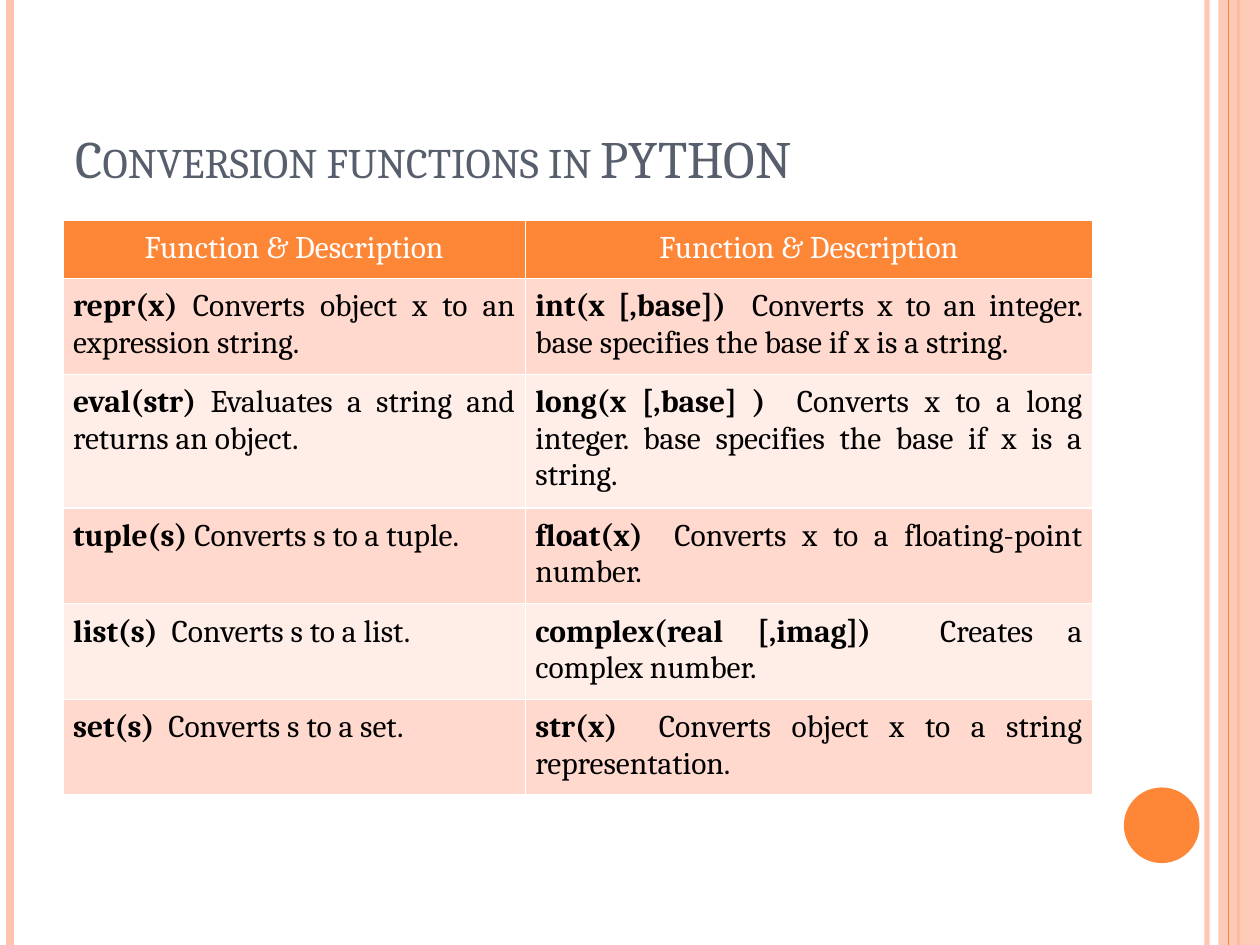
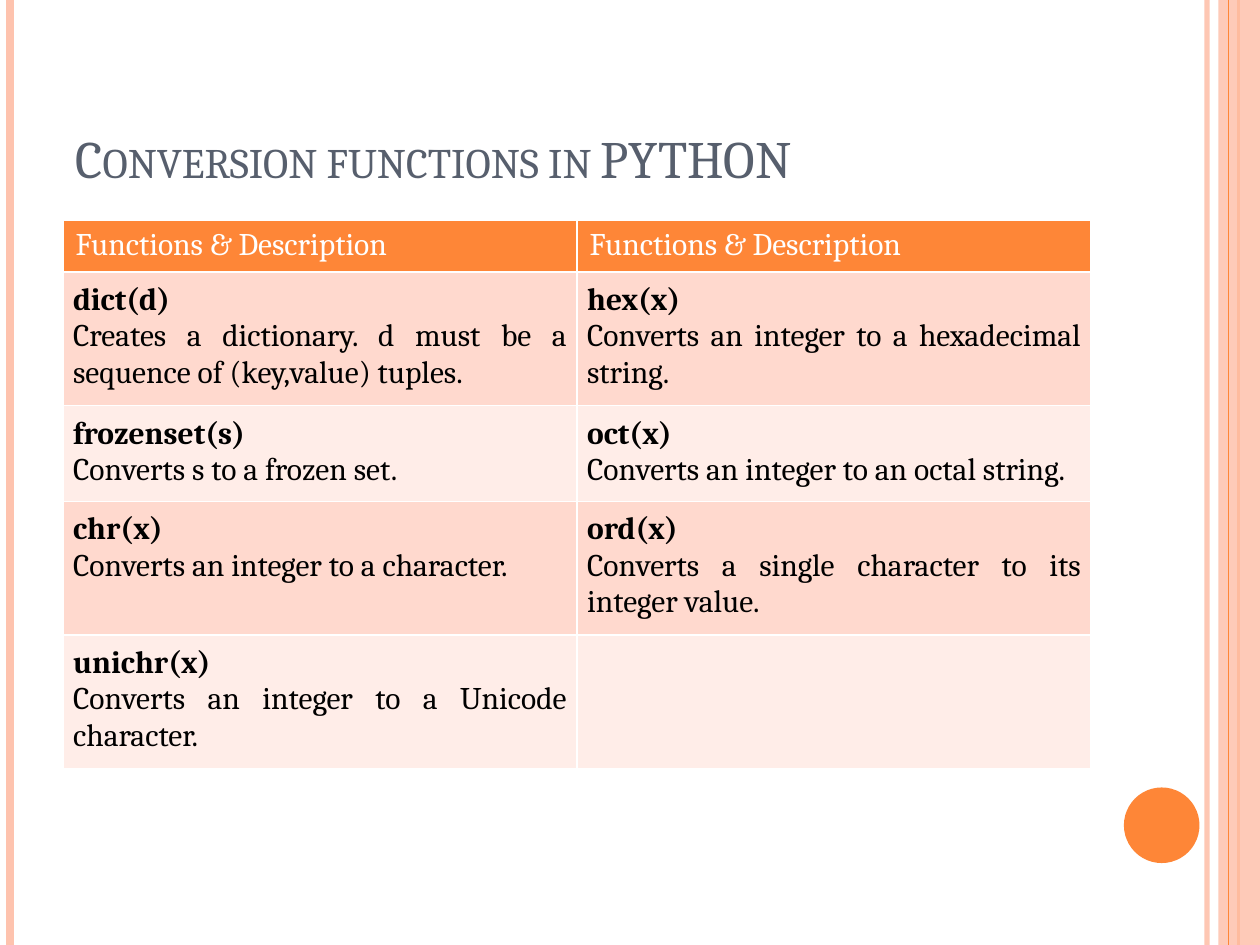
from lxml.etree import SubElement
from pptx import Presentation
from pptx.dml.color import RGBColor
from pptx.enum.shapes import MSO_CONNECTOR, MSO_SHAPE
from pptx.enum.text import MSO_ANCHOR, PP_ALIGN
from pptx.oxml.ns import qn
from pptx.util import Inches, Pt

ORANGE = RGBColor(0xFE, 0x86, 0x37)
PEACH = RGBColor(0xFE, 0xC3, 0xAE)
SLATE = RGBColor(0x57, 0x5F, 0x6D)
WHITE = RGBColor(0xFF, 0xFF, 0xFF)
BLACK = RGBColor(0, 0, 0)
BANDS = (RGBColor(0xFF, 0xD9, 0xCE), RGBColor(0xFF, 0xED, 0xE8))
FONT = "Cambria"
WIDE, HIGH = 10, 7.5
TITLE = "Conversion functions in PYTHON"
TITLE_BOX = (0.5, 0.3, 8.17, 1.25)
TABLE_SPOT = (0.5, 1.75)
ROW = 0.41
PAD = 0.08

# Each cell holds a call and what it does.
BASIC = [
    [("repr(x) ", "Converts object x to an expression string."),
     ("int(x [,base])  ", "Converts x to an integer. base specifies the base if x is a string.")],
    [("eval(str) ", "Evaluates a string and returns an object."),
     ("long(x [,base] )  ", "Converts x to a long integer. base specifies the base if x is a string.")],
    [("tuple(s) ", "Converts s to a tuple."),
     ("float(x)  ", "Converts x to a floating-point number.")],
    [("list(s)  ", "Converts s to a list."),
     ("complex(real [,imag])  ", "Creates a complex number.")],
    [("set(s)  ", "Converts s to a set."),
     ("str(x)  ", "Converts object x to a string representation.")],
]
MORE = [
    [("dict(d)", "Creates a dictionary. d must be a sequence of (key,value) tuples."),
     ("hex(x)", "Converts an integer to a hexadecimal string.")],
    [("frozenset(s)", "Converts s to a frozen set."),
     ("oct(x)", "Converts an integer to an octal string.")],
    [("chr(x)", "Converts an integer to a character."),
     ("ord(x)", "Converts a single character to its integer value.")],
    [("unichr(x)", "Converts an integer to a Unicode character."), None],
]


def style(font, size, color, bold=False):
    font.name, font.size, font.bold = FONT, Pt(size), bold
    font.color.rgb = color


def fade(shape, percent):
    """Set the opacity of the first solid colour in a shape."""
    color = next(shape._element.spPr.iter(qn("a:srgbClr")))
    SubElement(color, qn("a:alpha")).set("val", str(percent * 1000))


def add_rule(slide, x, color, width):
    """Draw a line down the full height of the slide."""
    rule = slide.shapes.add_connector(
        MSO_CONNECTOR.STRAIGHT, Inches(x), 0, Inches(x), Inches(HIGH))
    rule.line.color.rgb = color
    rule.line.width = Pt(width)
    SubElement(rule._element.spPr, qn("a:effectLst"))
    return rule


def add_solid(slide, kind, box, color):
    shape = slide.shapes.add_shape(kind, *map(Inches, box))
    shape.shadow.inherit = False
    shape.fill.solid()
    shape.fill.fore_color.rgb = color
    shape.line.fill.background()
    return shape


def add_frame(slide):
    """Draw the side rules, right band and disc that every slide shares."""
    fade(add_rule(slide, 9.58, PEACH, 3), 93)
    add_rule(slide, 0.08, PEACH, 4.5)
    add_rule(slide, 9.83, ORANGE, 1.5)
    band = add_solid(slide, MSO_SHAPE.RECTANGLE, (9.67, 0, 0.33, HIGH), PEACH)
    fade(band, 87)
    add_rule(slide, 9.75, ORANGE, 0.75)
    add_solid(slide, MSO_SHAPE.OVAL, (8.92, 6.25, 0.6, 0.6), ORANGE)


def add_title(slide, box):
    frame = slide.shapes.add_textbox(*map(Inches, box)).text_frame
    frame.word_wrap = True
    frame.vertical_anchor = MSO_ANCHOR.BOTTOM
    frame.text = TITLE
    run = frame.paragraphs[0].runs[0]
    style(run.font, 30, SLATE)
    run.font._element.set("cap", "small")


def paint(cell, color):
    """Give a cell white borders and a fill."""
    props = cell._tc.get_or_add_tcPr()
    for side in "LRTB":
        line = SubElement(props, qn(f"a:ln{side}"), w=str(Pt(1)))
        fill = SubElement(line, qn("a:solidFill"))
        SubElement(fill, qn("a:srgbClr"), val=str(WHITE))
    cell.fill.solid()
    cell.fill.fore_color.rgb = color


def pad(cell):
    cell.margin_left = cell.margin_right = Inches(PAD)
    cell.margin_top = cell.margin_bottom = Inches(PAD)


def fill_cell(cell, entry, stacked):
    """Write a bold call and its description, on one line or stacked."""
    frame = cell.text_frame
    if entry is None:
        style(frame.paragraphs[0].font, 18, BLACK)
        return
    pad(cell)
    call, about = entry
    frame.text = call
    first = frame.paragraphs[0]
    last = frame.add_paragraph() if stacked else first
    last.add_run().text = about
    for para in frame.paragraphs:
        para.alignment = PP_ALIGN.JUSTIFY
        for run in para.runs:
            style(run.font, 18, BLACK, run.text == call)


def add_grid(slide, spot, cols, head, rows, stacked):
    count = len(rows) + 1
    size = (sum(cols), ROW * count)
    grid = slide.shapes.add_table(count, len(cols), *map(Inches, spot + size)).table
    for col, width in zip(grid.columns, cols):
        col.width = Inches(width)
    for row in grid.rows:
        row.height = Inches(ROW)
    for c in range(len(cols)):
        cell = grid.cell(0, c)
        paint(cell, ORANGE)
        cell.text_frame.text = head
        para = cell.text_frame.paragraphs[0]
        style(para.runs[0].font, 18, WHITE)
        if not stacked:
            pad(cell)
            para.alignment = PP_ALIGN.CENTER
    for r, row in enumerate(rows):
        for c, entry in enumerate(row):
            cell = grid.cell(r + 1, c)
            paint(cell, BANDS[r % 2])
            fill_cell(cell, entry, stacked)


def add_page(deck, cols, head, rows, stacked):
    slide = deck.slides.add_slide(deck.slide_layouts[6])
    add_frame(slide)
    add_title(slide, TITLE_BOX)
    add_grid(slide, TABLE_SPOT, cols, head, rows, stacked)


def main():
    deck = Presentation()
    deck.slide_width, deck.slide_height = Inches(WIDE), Inches(HIGH)
    add_page(deck, (3.67, 4.5), "Function & Description", BASIC, False)
    add_page(deck, (4.08, 4.08), "Functions & Description", MORE, True)
    deck.save("out.pptx")


if __name__ == "__main__":
    main()
